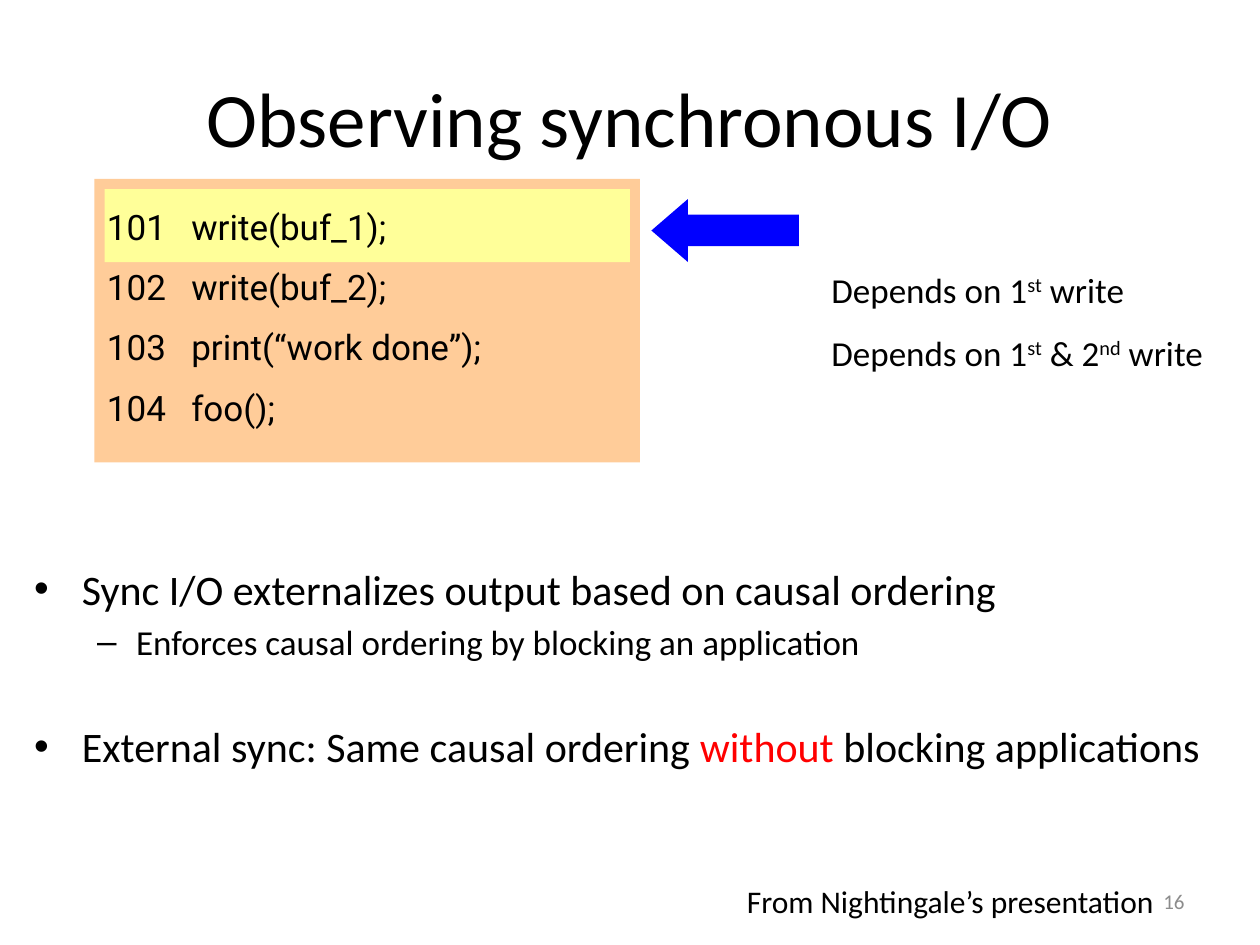
from lxml.etree import SubElement
from pptx import Presentation
from pptx.dml.color import RGBColor
from pptx.enum.shapes import MSO_SHAPE as Shape
from pptx.enum.text import MSO_ANCHOR as Anchor, MSO_AUTO_SIZE as Fit, PP_ALIGN as Align
from pptx.oxml.ns import qn
from pptx.util import Inches, Pt

COLORS = {"text": "000000", "number": "8C8C8C", "code": "FFCC99",
          "line": "FFFF99", "arrow": "0000FF", "stress": "FF0000"}


def style(para, size, color="text", face="Calibri"):
    for run in para.runs:
        run.font.size = Pt(size)
        run.font.name = face
        run.font.color.rgb = RGBColor.from_string(COLORS[color])


def hang(para, left, first, mark=None):
    """Give a paragraph a hanging indent and, if asked, a bullet."""
    props = para._p.get_or_add_pPr()
    props.set("marL", str(Inches(left)))
    props.set("indent", str(Inches(first)))
    if mark:
        SubElement(props, qn("a:buFont")).set("typeface", "Arial")
        SubElement(props, qn("a:buChar")).set("char", mark)


deck = Presentation()
deck.slide_width, deck.slide_height = Inches(10), Inches(7.5)
slide = deck.slides.add_slide(deck.slide_layouts[1])
shapes = slide.shapes

# Title
title = shapes.title
title.left, title.top, title.width, title.height = map(Inches, (0.5, 0.3, 9, 1.25))
frame = title.text_frame
frame.text = "Observing synchronous I/O"
frame.auto_size = Fit.NONE
frame.vertical_anchor = Anchor.MIDDLE
frame.paragraphs[0].alignment = Align.CENTER
style(frame.paragraphs[0], 44)

# Code panel, current line and arrow
for kind, color, area in [
    (Shape.RECTANGLE, "code", (0.75, 1.42, 4.33, 2.25)),
    (Shape.RECTANGLE, "line", (0.83, 1.5, 4.17, 0.58)),
    (Shape.LEFT_ARROW, "arrow", (5.17, 1.58, 1.17, 0.5)),
]:
    item = shapes.add_shape(kind, *map(Inches, area))
    item.shadow.inherit = False
    item.fill.solid()
    item.fill.fore_color.rgb = RGBColor.from_string(COLORS[color])
    item.line.fill.background()
    if kind == Shape.LEFT_ARROW:
        item.adjustments[1] = 0.58

# Code
calls = ["write(buf_1);", "write(buf_2);", "print(“work done”);", "foo();"]
frame = shapes.add_textbox(*map(Inches, (0.75, 1.58, 4.42, 1.93))).text_frame
frame.word_wrap = True
frame.text = "\n".join(f"{num}\t{call}" for num, call in enumerate(calls, 101))
for row, para in enumerate(frame.paragraphs):
    hang(para, 0.67, -0.67)
    para.space_before = Pt(10.5 if row else 0)
    style(para, 20, face="Roboto")

# Dependencies, with raised ordinals
notes = [["Depends on 1", "st", " write"],
         ["Depends on 1", "st", " & 2", "nd", " write"]]
for row, parts in enumerate(notes):
    area = (6.5, 2.08 + 0.5 * row, 3.5, 0.43)
    frame = shapes.add_textbox(*map(Inches, area)).text_frame
    frame.word_wrap = True
    para = frame.paragraphs[0]
    for part in parts:
        run = para.add_run()
        run.text = part
        if part in ("st", "nd"):
            run._r.get_or_add_rPr().set("baseline", "30000")
    style(para, 20)

# Points
body = slide.placeholders[1]
body.left, body.top, body.width, body.height = map(Inches, (0.17, 4.42, 9.83, 2.29))
frame = body.text_frame
frame.auto_size = Fit.NONE
points = [
    (0, 0, ["Sync I/O externalizes output based on causal ordering"]),
    (1, 4, ["Enforces causal ordering by blocking an application"]),
    (0, 33, ["External sync: Same causal ordering ", "without", " blocking applications"]),
]
for row, (level, gap, parts) in enumerate(points):
    para = frame.add_paragraph() if row else frame.paragraphs[0]
    for part in parts:
        para.add_run().text = part
    para.level = level
    para.space_before = Pt(gap)
    if level:
        hang(para, 0.81, -0.31, "–")
    else:
        hang(para, 0.38, -0.38, "•")
    style(para, 20 if level else 24)
para.runs[1].font.color.rgb = RGBColor.from_string(COLORS["stress"])

# Credit and slide number
for text, area, size, color, align in [
    ("From Nightingale’s presentation", (5.83, 6.95, 3.47, 0.4), 18, "text", Align.LEFT),
    ("16", (7.17, 6.95, 2.33, 0.4), 12, "number", Align.RIGHT),
]:
    frame = shapes.add_textbox(*map(Inches, area)).text_frame
    frame.text = text
    frame.word_wrap = True
    frame.vertical_anchor = Anchor.MIDDLE
    frame.paragraphs[0].alignment = align
    style(frame.paragraphs[0], size, color)

deck.save("out.pptx")
